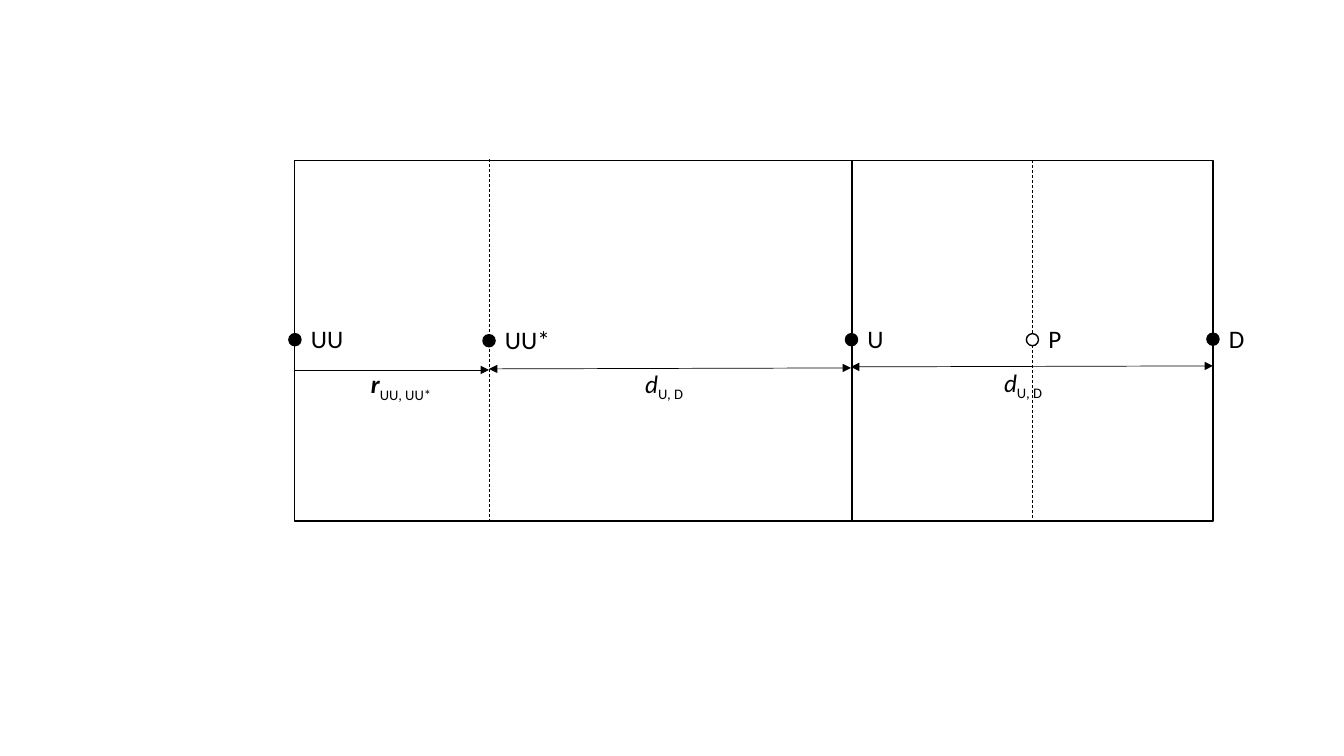
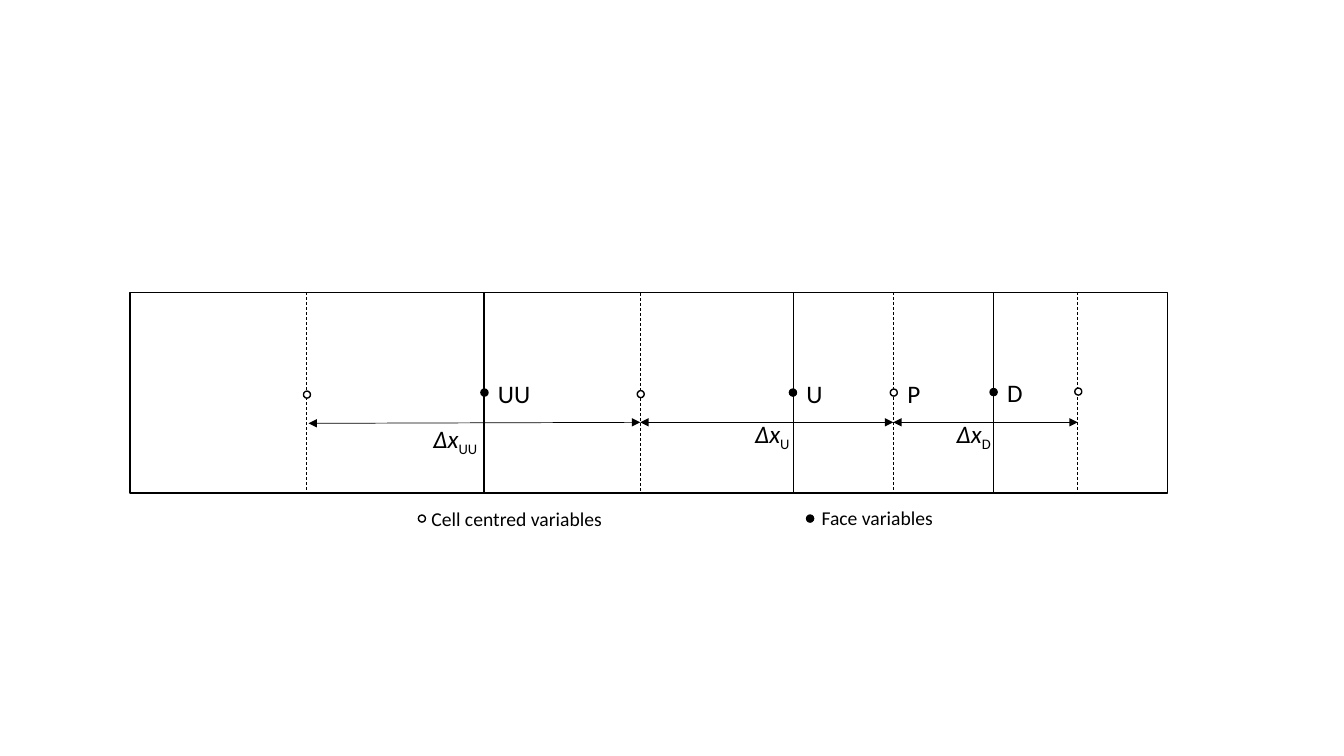
"""Build two slides that show cell and face points along a row of cells."""
import dataclasses

import lxml.etree
import pptx
import pptx.dml.color
import pptx.enum.dml
import pptx.enum.shapes
import pptx.enum.text
import pptx.oxml.ns
import pptx.util

WIDE, HIGH = pptx.util.Inches(13.33), pptx.util.Inches(7.5)
COLS, ROWS = 1333, 750
BLACK, WHITE = "000000", "FFFFFF"
FONT = "Calibri"
SHAPES = pptx.enum.shapes.MSO_SHAPE


@dataclasses.dataclass(frozen=True)
class Mark:
    x: float
    y: float
    name: str = ""
    hollow: bool = False


@dataclasses.dataclass(frozen=True)
class Span:
    start: tuple
    end: tuple
    sign: str
    sub: str
    at: tuple
    vector: bool = False


@dataclasses.dataclass(frozen=True)
class Dash:
    x: float
    top: float


@dataclasses.dataclass(frozen=True)
class Legend:
    mark: Mark
    text: str
    at: tuple


@dataclasses.dataclass(frozen=True)
class Scene:
    edges: tuple
    top: float
    height: float
    dot: float
    lift: float
    dashes: tuple
    marks: tuple
    spans: tuple
    legends: tuple = ()


SCENES = (
    Scene(
        edges=(292, 845, 1203), top=159, height=358, dot=12, lift=21,
        dashes=(Dash(1024, 159), Dash(485, 158)),
        marks=(Mark(292.5, 337, "UU"), Mark(485, 338, "UU*"), Mark(844.5, 337, "U"),
               Mark(1024, 337, "P", True), Mark(1203, 336.5, "D")),
        spans=(Span((292, 367), (485, 367), "r", "UU, UU*", (358, 361), True),
               Span((485, 366), (844, 365), "d", "U, D", (630, 360)),
               Span((844, 364), (1203, 363), "d", "U, D", (986, 359))),
    ),
    Scene(
        edges=(129, 480, 787, 985.5, 1158), top=290, height=199, dot=7, lift=19.5,
        dashes=(Dash(304, 290), Dash(635, 291), Dash(886, 290), Dash(1069, 290)),
        marks=(Mark(304.5, 391.5, hollow=True), Mark(480.5, 389.5, "UU"),
               Mark(635.5, 391, hollow=True), Mark(786.5, 389.5, "U"),
               Mark(886.5, 389.5, "P", True), Mark(985.5, 389, "D"),
               Mark(1069.5, 388.5, hollow=True)),
        spans=(Span((306, 420), (635, 419), "Δx", "UU", (420, 415)),
               Span((635, 419), (886, 419), "Δx", "U", (739, 410)),
               Span((886, 419), (1069, 419), "Δx", "D", (939, 410))),
        legends=(Legend(Mark(418.5, 514.5, hollow=True), "Cell centred variables", (418, 498)),
                 Legend(Mark(803.5, 514.5), "Face variables", (805, 497))),
    ),
)


def col(n: float) -> int:
    return round(n * WIDE / COLS)


def row(n: float) -> int:
    return round(n * HIGH / ROWS)


def paint(fill, shade: str) -> None:
    fill.solid()
    fill.fore_color.rgb = pptx.dml.color.RGBColor.from_string(shade)


def stroke(line, width: float) -> None:
    paint(line.fill, BLACK)
    line.width = pptx.util.Pt(width)


def shape(slide, kind, x: float, y: float, w: float, h: float, shade: str = "") -> None:
    item = slide.shapes.add_shape(kind, col(x), row(y), col(w), row(h))
    item.shadow.inherit = False
    stroke(item.line, 1)
    if shade:
        paint(item.fill, shade)
    else:
        item.fill.background()


def rule(slide, start: tuple, end: tuple, dashed: bool = False, tips: tuple = ()) -> None:
    kind = pptx.enum.shapes.MSO_CONNECTOR.STRAIGHT
    item = slide.shapes.add_connector(
        kind, col(start[0]), row(start[1]), col(end[0]), row(end[1]))
    stroke(item.line, 0.5)
    if dashed:
        item.line.dash_style = pptx.enum.dml.MSO_LINE.DASH
    name = pptx.oxml.ns.qn
    props = item._element.spPr
    for tip in tips:
        lxml.etree.SubElement(props.find(name("a:ln")), name(f"a:{tip}"), type="triangle")
    lxml.etree.SubElement(props, name("a:effectLst"))


def write(slide, text: str, at: tuple, width: float = 122, size: float = 18,
          sub: str = "", bold: bool = False, slant: bool = False) -> None:
    box = slide.shapes.add_textbox(col(at[0]), row(at[1]), col(width), row(size * 2.2))
    frame = box.text_frame
    frame.word_wrap = True
    frame.auto_size = pptx.enum.text.MSO_AUTO_SIZE.SHAPE_TO_FIT_TEXT
    for part in filter(None, (text, sub)):
        run = frame.paragraphs[0].add_run()
        run.text = part
        font = run.font
        font.name, font.size = FONT, pptx.util.Pt(size)
        paint(font.fill, BLACK)
        font.bold, font.italic = bold, slant
        if part is sub:
            font.bold = font.italic = False
            run._r.get_or_add_rPr().set("baseline", "-25000")


def point(slide, mark: Mark, dot: float, lift: float) -> None:
    half = dot / 2
    shape(slide, SHAPES.OVAL, mark.x - half, mark.y - half, dot, dot,
          WHITE if mark.hollow else BLACK)
    if mark.name:
        write(slide, mark.name, (mark.x + half, mark.y - lift), width=25 + 20 * len(mark.name))


def draw(slide, scene: Scene) -> None:
    for left, right in zip(scene.edges, scene.edges[1:]):
        shape(slide, SHAPES.RECTANGLE, left, scene.top, right - left, scene.height)
    for dash in scene.dashes:
        rule(slide, (dash.x, dash.top), (dash.x, dash.top + scene.height), dashed=True)
    for span in scene.spans:
        tips = ("tailEnd",) if span.vector else ("headEnd", "tailEnd")
        rule(slide, span.start, span.end, tips=tips)
        write(slide, span.sign, span.at, sub=span.sub, bold=span.vector, slant=True)
    for mark in scene.marks:
        point(slide, mark, scene.dot, scene.lift)
    for legend in scene.legends:
        point(slide, legend.mark, scene.dot, scene.lift)
        write(slide, legend.text, legend.at, width=263, size=14)


def main() -> None:
    deck = pptx.Presentation()
    deck.slide_width, deck.slide_height = WIDE, HIGH
    for scene in SCENES:
        draw(deck.slides.add_slide(deck.slide_layouts[6]), scene)
    deck.save("out.pptx")


if __name__ == "__main__":
    main()
